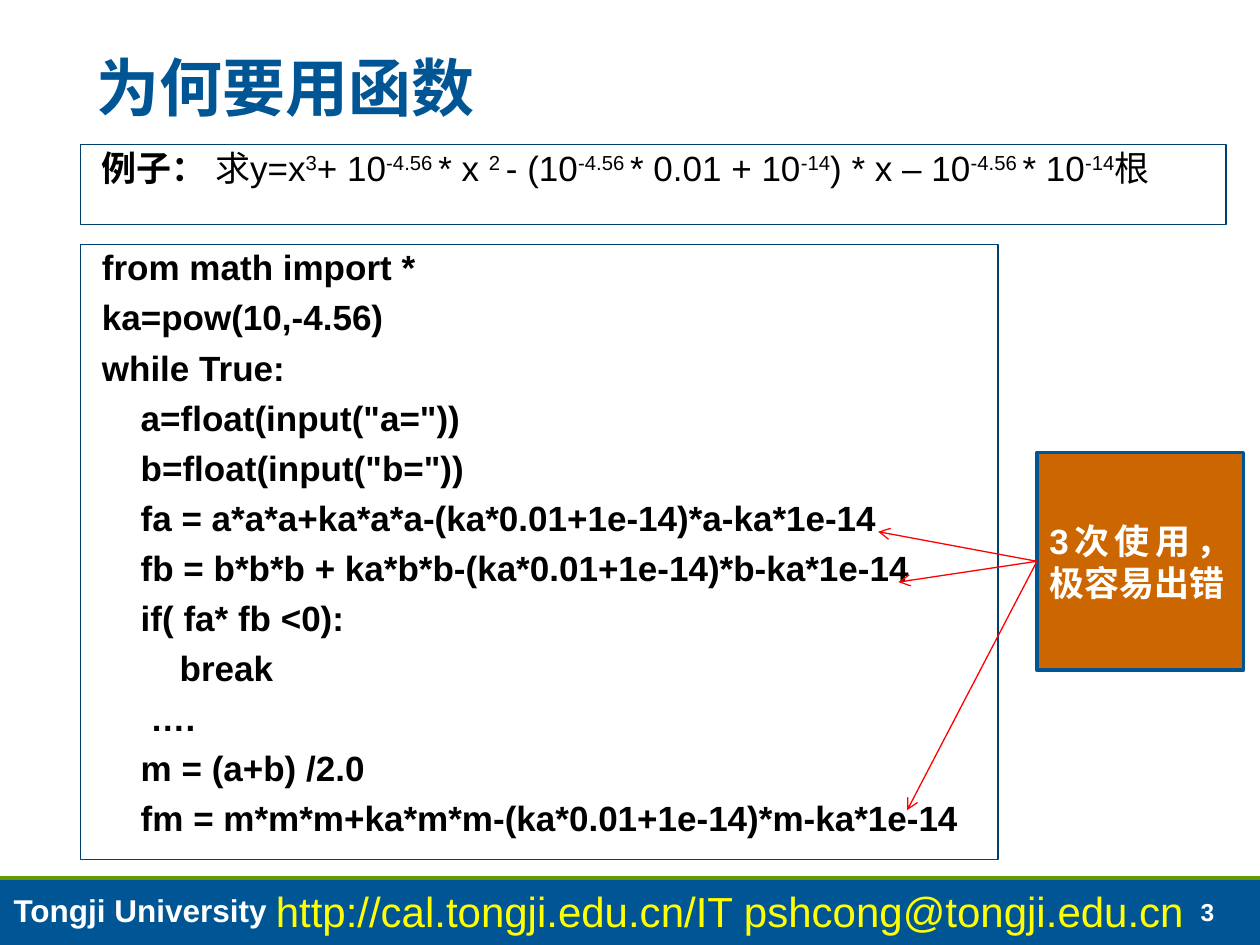
import pptx
import pptx.util
import pptx.dml.color
import pptx.enum.shapes
import pptx.enum.text
import pptx.oxml.ns
import lxml.etree
from dataclasses import dataclass

Inches, Pt = pptx.util.Inches, pptx.util.Pt
ANCHOR = pptx.enum.text.MSO_ANCHOR
ALIGN = pptx.enum.text.PP_ALIGN
RECTANGLE = pptx.enum.shapes.MSO_SHAPE.RECTANGLE
STRAIGHT = pptx.enum.shapes.MSO_CONNECTOR.STRAIGHT


@dataclass(frozen=True)
class Theme:
    latin: str = "Arial"
    cjk: str = "Noto Sans CJK SC"
    blue: str = "005595"
    navy: str = "003F6E"
    green: str = "669900"
    orange: str = "CC6600"
    red: str = "FF0000"
    yellow: str = "FFFF00"
    white: str = "FFFFFF"
    black: str = "000000"
    title: int = 36
    url: int = 24
    body: int = 20
    school: int = 18
    number: int = 14


theme = Theme()

# Content
TITLE = "为何要用函数"
EXAMPLE_LABEL = "例子： "
# Each term of the equation with the exponent that follows it
EQUATION = [
    ("求y=x", "3"), ("+ 10", "-4.56 "), ("* x ", "2 "), ("- (10", "-4.56 "),
    ("* 0.01 + 10", "-14"), (") * x – 10", "-4.56 "), ("* 10", "-14"), ("根", ""),
]
CODE = """from math import *
ka=pow(10,-4.56)
while True:
    a=float(input("a="))
    b=float(input("b="))
    fa = a*a*a+ka*a*a-(ka*0.01+1e-14)*a-ka*1e-14
    fb = b*b*b + ka*b*b-(ka*0.01+1e-14)*b-ka*1e-14
    if( fa* fb <0):
        break
     ….
    m = (a+b) /2.0
    fm = m*m*m+ka*m*m-(ka*0.01+1e-14)*m-ka*1e-14"""
WARNING = "3次使用，极容易出错"
FORMULA_ENDS = [(6.97, 4.22), (7.13, 4.62), (7.2, 6.43)]
# Footer: text, box, size, colour, bold, anchor
FOOTER = [
    ("3", (9.43, 7.06, 0.53, 0.34), theme.number, theme.white, True, ANCHOR.BOTTOM),
    ("Tongji University", (0.01, 7.02, 3.51, 0.4), theme.school, theme.white, True, ANCHOR.TOP),
    ("http://cal.tongji.edu.cn/IT pshcong@tongji.edu.cn", (2.09, 6.98, 7.72, 0.5),
     theme.url, theme.yellow, False, ANCHOR.TOP),
]

# Layout
WIDTH, HEIGHT = 10, 7.5
FOOTER_TOP = 6.97
TITLE_BOX = (0.67, 0.05, 8.7, 1)
EXAMPLE_BOX = (0.64, 1.15, 9.09, 0.63)
CODE_BOX = (0.64, 1.94, 7.28, 4.88)
WARNING_BOX = (8.23, 3.59, 1.64, 1.73)


def rgb(value):
    return pptx.dml.color.RGBColor.from_string(value)


def style_run(run, size, color, bold, latin=theme.latin):
    run.font.size, run.font.bold, run.font.name = Pt(size), bold, latin
    run.font.color.rgb = rgb(color)
    east_asian = lxml.etree.SubElement(run.font._element, pptx.oxml.ns.qn("a:ea"))
    east_asian.set("typeface", theme.cjk)


def add_box(slide, box, fill, line=None, weight=0.75):
    panel = slide.shapes.add_shape(RECTANGLE, *map(Inches, box))
    panel.shadow.inherit = False
    panel.fill.solid()
    panel.fill.fore_color.rgb = rgb(fill)
    if line:
        panel.line.color.rgb = rgb(line)
        panel.line.width = Pt(weight)
    else:
        panel.line.fill.background()
    panel.text_frame.word_wrap = True
    panel.text_frame.vertical_anchor = ANCHOR.TOP
    return panel


def add_label(slide, text, box, size, color, bold, anchor, latin=theme.latin):
    frame = slide.shapes.add_textbox(*map(Inches, box)).text_frame
    frame.word_wrap = True
    frame.vertical_anchor = anchor
    frame.text = text
    style_run(frame.paragraphs[0].runs[0], size, color, bold, latin)
    return frame.paragraphs[0]


def add_line(slide, start, end, color, weight, arrow=False):
    line = slide.shapes.add_connector(STRAIGHT, *map(Inches, start + end))
    line.line.color.rgb = rgb(color)
    line.line.width = Pt(weight)
    if arrow:
        tail = lxml.etree.SubElement(line.line._get_or_add_ln(), pptx.oxml.ns.qn("a:tailEnd"))
        tail.set("type", "arrow")
    lxml.etree.SubElement(line._element.spPr, pptx.oxml.ns.qn("a:effectLst"))


def set_body_spacing(paragraphs):
    for index, paragraph in enumerate(paragraphs):
        paragraph.alignment = ALIGN.LEFT
        paragraph.line_spacing = 0.9
        paragraph.space_before = Pt(7 if index else 0)
        paragraph._p.get_or_add_pPr().set("marL", str(Inches(0.07)))


def main():
    deck = pptx.Presentation()
    deck.slide_width, deck.slide_height = Inches(WIDTH), Inches(HEIGHT)
    slide = deck.slides.add_slide(deck.slide_layouts[6])

    # Footer band
    add_box(slide, (0, FOOTER_TOP, WIDTH, HEIGHT - FOOTER_TOP), theme.blue)
    add_line(slide, (0, FOOTER_TOP), (WIDTH, FOOTER_TOP), theme.green, 2)
    for label in FOOTER:
        add_label(slide, *label)

    # Title
    title = add_label(slide, TITLE, TITLE_BOX, theme.title, theme.blue, True,
                      ANCHOR.BOTTOM, theme.cjk)
    title.line_spacing = 0.95

    # Code listing
    code = add_box(slide, CODE_BOX, theme.white, theme.navy).text_frame
    code.text = CODE
    set_body_spacing(code.paragraphs)
    for line in code.paragraphs:
        style_run(line.runs[0], theme.body, theme.black, True)

    # Example equation with superscript exponents
    example = add_box(slide, EXAMPLE_BOX, theme.white, theme.navy).text_frame
    example.text = EXAMPLE_LABEL
    set_body_spacing(example.paragraphs)
    equation = example.paragraphs[0]
    style_run(equation.runs[0], theme.body, theme.black, True)
    for term, exponent in EQUATION:
        for text, baseline in ((term, 0), (exponent, 30000)):
            if text:
                part = equation.add_run()
                part.text = text
                style_run(part, theme.body, theme.black, False)
                part.font._element.set("baseline", str(baseline))

    # Warning and its arrows to the three repeated formulas
    warning = add_box(slide, WARNING_BOX, theme.orange, theme.blue, 2).text_frame
    warning.vertical_anchor = ANCHOR.MIDDLE
    warning.text = WARNING
    warning.paragraphs[0].alignment = ALIGN.JUSTIFY
    style_run(warning.paragraphs[0].runs[0], theme.body, theme.white, True)
    left, top, _, height = WARNING_BOX
    for formula_end in FORMULA_ENDS:
        add_line(slide, (left, top + height / 2), formula_end, theme.red, 0.75, arrow=True)

    deck.save("out.pptx")


if __name__ == "__main__":
    main()
